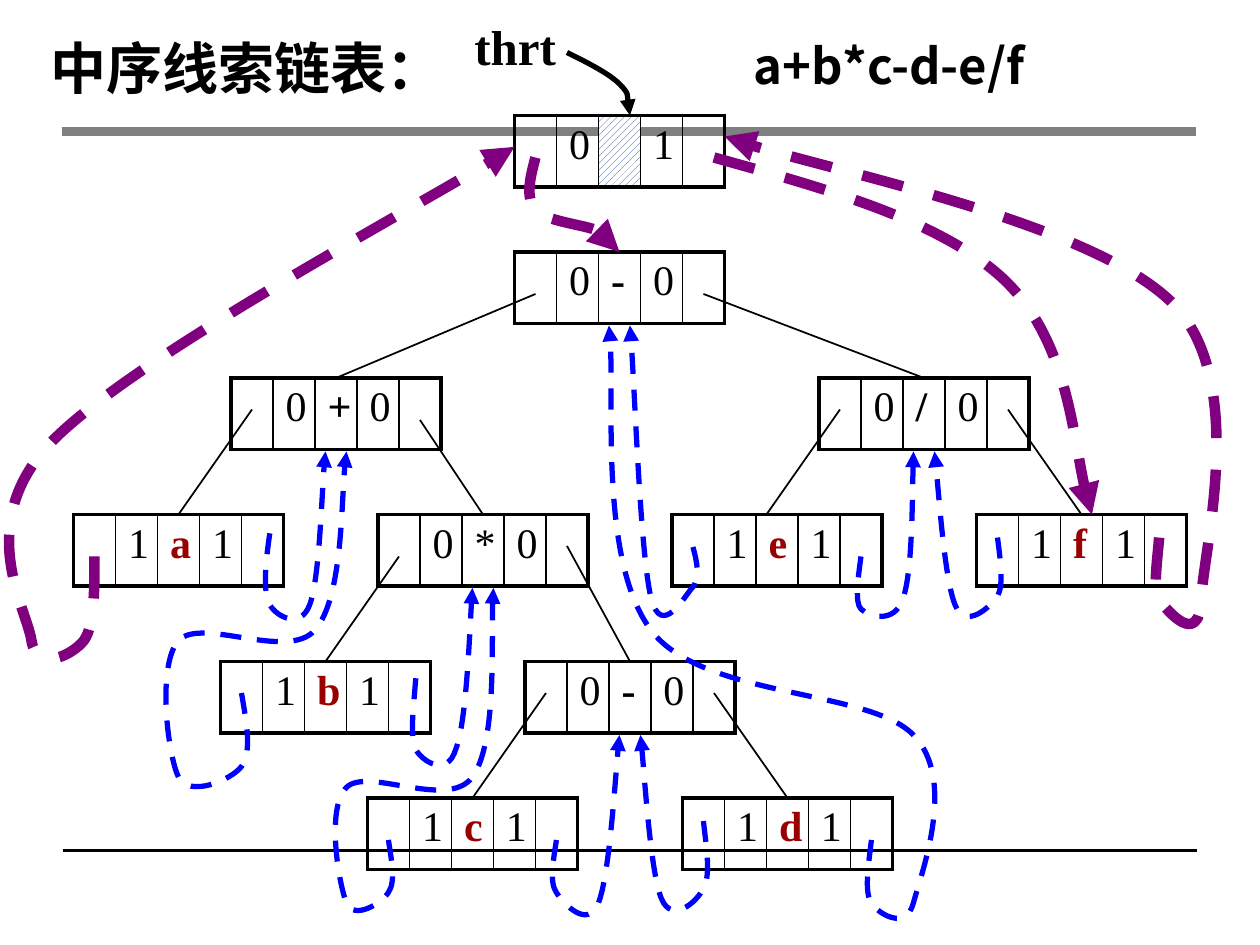
from pptx import Presentation
from pptx import util as u
from pptx.dml.color import RGBColor
from pptx.enum import dml, shapes, text
from pptx.oxml.ns import qn
from lxml import etree

PX = 7620  # EMU per px, 120 px to the inch
SERIF, SANS = "Times New Roman", "Noto Sans CJK SC"
BLACK, BLUE, PURPLE, RED = "000000", "0000FF", "800080", "990000"
CELL_W, NODE_H = 40, 68

# x, y, tag, label; the tag is 0 for child links and 1 for threads
NODES = [
    (490, 240, "0", "-"), (220, 360, "0", "+"), (70, 490, "1", "a"),
    (360, 490, "0", "*"), (780, 360, "0", "/"), (640, 490, "1", "e"),
    (930, 490, "1", "f"), (210, 630, "1", "b"), (500, 630, "0", "-"),
    (350, 760, "1", "c"), (650, 760, "1", "d"),
]
CHILD_LINKS = [
    (510, 280, 320, 360), (670, 280, 880, 360), (240, 390, 170, 490),
    (400, 400, 460, 490), (520, 660, 450, 760), (680, 660, 750, 760),
    (800, 390, 730, 490), (960, 390, 1030, 490), (380, 530, 310, 630),
    (540, 520, 600, 630),
]
# Each curve: a start point, then three points for every Bézier segment
THREADS = [
    [(257, 508), (253, 535), (250, 564), (257, 576), (263, 587), (286, 600),
     (295, 576), (304, 552), (307, 455), (310, 430)],
    [(230, 660), (235, 689), (240, 716), (230, 730), (220, 743), (180, 760),
     (170, 740), (160, 720), (149, 634), (170, 610), (192, 587), (274, 630),
     (300, 600), (326, 570), (325, 458), (330, 430)],
    [(396, 646), (394, 674), (390, 703), (396, 714), (403, 726), (426, 740),
     (434, 714), (444, 689), (448, 586), (450, 560)],
    [(370, 800), (373, 820), (377, 840), (370, 850), (364, 860), (337, 877),
     (330, 860), (323, 843), (310, 770), (330, 750), (350, 730), (427, 772),
     (450, 740), (473, 708), (467, 590), (470, 560)],
    [(530, 800), (527, 820), (523, 840), (530, 850), (536, 860), (560, 886),
     (570, 860), (580, 835), (587, 727), (590, 700)],
    [(670, 782), (673, 809), (677, 834), (670, 846), (664, 859), (640, 880),
     (630, 856), (620, 832), (613, 726), (610, 700)],
    [(830, 800), (827, 825), (823, 850), (830, 860), (836, 870), (863, 887),
     (870, 860), (877, 833), (912, 743), (870, 700), (828, 656), (668, 665),
     (620, 600), (571, 535), (587, 359), (580, 310)],
    [(660, 521), (664, 535), (667, 551), (660, 559), (653, 566), (630, 610),
     (620, 569), (610, 527), (604, 353), (600, 310)],
    [(820, 530), (817, 552), (814, 574), (820, 580), (827, 587), (852, 595),
     (860, 570), (869, 545), (869, 454), (870, 430)],
    [(950, 512), (953, 535), (956, 557), (950, 568), (943, 578), (920, 600),
     (910, 577), (900, 554), (893, 455), (890, 430)],
]
HEAD_LINKS = [
    [(680, 150), (788, 180), (896, 210), (956, 266), (1016, 323), (1026, 452),
     (1040, 490)],
    [(510, 150), (505, 169), (500, 188), (510, 200), (520, 211), (557, 214),
     (570, 220), (583, 227), (587, 236), (590, 240)],
    [(90, 530), (90, 563), (90, 596), (80, 610), (70, 623), (35, 642),
     (30, 610), (25, 578), (-26, 498), (50, 420), (127, 342), (416, 187),
     (490, 140)],
    [(1104, 512), (1102, 536), (1098, 562), (1104, 571), (1111, 581),
     (1142, 618), (1144, 571), (1146, 523), (1190, 360), (1115, 287),
     (1039, 214), (761, 156), (690, 130)],
]
HEAD_POINTER = [(540, 50), (560, 60), (580, 70), (590, 80), (600, 90),
                (599, 106), (600, 110)]


def emu(*px):
    return [u.Emu(n * PX) for n in px]


def rgb(color):
    return RGBColor.from_string(color)


def write(tf, content, size=24, font=SERIF, color=BLACK, bold=False):
    p = tf.paragraphs[0]
    p.alignment = text.PP_ALIGN.LEFT
    r = p.add_run()
    r.text = content
    r.font.size, r.font.name, r.font.bold = u.Pt(size), font, bold
    r.font.color.rgb = rgb(color)
    etree.SubElement(r.font._element, qn("a:ea"), typeface=font)


def label(sp, box, content, **fmt):
    sp.left, sp.top, sp.width, sp.height = emu(*box)
    tf = sp.text_frame
    tf.word_wrap = True
    tf.auto_size = text.MSO_AUTO_SIZE.NONE
    tf.vertical_anchor = text.MSO_ANCHOR.MIDDLE
    tf.margin_top = tf.margin_bottom = 0
    write(tf, content, bold=True, **fmt)


def line(s, x1, y1, x2, y2, color=BLACK, width=1):
    c = s.shapes.add_connector(shapes.MSO_CONNECTOR.STRAIGHT, *emu(x1, y1, x2, y2))
    c.line.color.rgb, c.line.width = rgb(color), u.Pt(width)
    etree.SubElement(c._element.spPr, qn("a:effectLst"))


def curve_arrow(s, points, color, width, dashed=True):
    start, *rest = points
    fb = s.shapes.build_freeform(*start, scale=PX)
    fb.add_line_segments(rest, close=False)
    sp = fb.convert_to_shape()
    sp.shadow.inherit = False
    sp.fill.background()
    sp.line.color.rgb, sp.line.width = rgb(color), u.Pt(width)
    if dashed:
        sp.line.dash_style = dml.MSO_LINE.DASH
    etree.SubElement(sp.line._get_or_add_ln(), qn("a:tailEnd"), type="triangle")
    # Turn every three straight segments into one Bézier segment
    segments = list(sp._element.iter(qn("a:lnTo")))
    for i in range(0, len(segments), 3):
        bezier = etree.Element(qn("a:cubicBezTo"))
        segments[i].addprevious(bezier)
        for seg in segments[i:i + 3]:
            bezier.append(seg[0])
            seg.getparent().remove(seg)


def border(cell, side, width):
    ln = etree.SubElement(cell._tc.get_or_add_tcPr(), qn("a:ln" + side),
                          w=str(u.Pt(width)))
    fill = etree.SubElement(ln, qn("a:solidFill"))
    etree.SubElement(fill, qn("a:srgbClr"), val=BLACK)


def node(s, x, y, ltag, data, rtag):
    """Five cells: left link, left tag, data, right tag, right link."""
    contents = ["", ltag, data, rtag, ""]
    last = len(contents) - 1
    table = s.shapes.add_table(1, len(contents),
                               *emu(x, y, CELL_W * len(contents), NODE_H)).table
    table.first_row = table.horz_banding = False
    for i, content in enumerate(contents):
        cell = table.cell(0, i)
        for side, heavy in (("L", i == 0), ("R", i == last), ("T", True), ("B", True)):
            border(cell, side, 2.25 if heavy else 1)
        cell.fill.background()
        if content:
            write(cell.text_frame, content, bold=content.isalpha() or content in "+-/",
                  color=RED if content.isalpha() else BLACK)
    return table


def head_node(s, x, y):
    fill = node(s, x, y, "0", "", "1").cell(0, 2).fill
    fill.patterned()
    fill.pattern = dml.MSO_PATTERN.WIDE_UPWARD_DIAGONAL
    fill.fore_color.rgb, fill.back_color.rgb = rgb("1F497D"), rgb("FFFFFF")


def threaded_tree(s):
    head_node(s, 490, 110)
    for x, y, tag, data in NODES:
        node(s, x, y, tag, data, tag)
    for ends in CHILD_LINKS:
        line(s, *ends)
    for points in THREADS:
        curve_arrow(s, points, BLUE, 3)
    for points in HEAD_LINKS:
        curve_arrow(s, points, PURPLE, 6)
    curve_arrow(s, HEAD_POINTER, BLACK, 3, dashed=False)


def main():
    prs = Presentation()
    prs.slide_width, prs.slide_height = emu(1200, 900)
    s = prs.slides.add_slide(prs.slide_layouts[5])
    line(s, 60, 810, 1140, 810, width=2)
    line(s, 59, 125, 1139, 125, color="808080", width=5)
    label(s.shapes.title, (36, 25, 437, 77), "中序线索链表：", size=32, font=SANS)
    threaded_tree(s)
    for box, content, font in [((440, 10, 110, 68), "thrt", SERIF),
                               ((706, 28, 368, 68), "a+b*c-d-e/f", SANS)]:
        label(s.shapes.add_textbox(*emu(*box)), box, content, size=28, font=font)
    prs.save("out.pptx")


if __name__ == "__main__":
    main()
